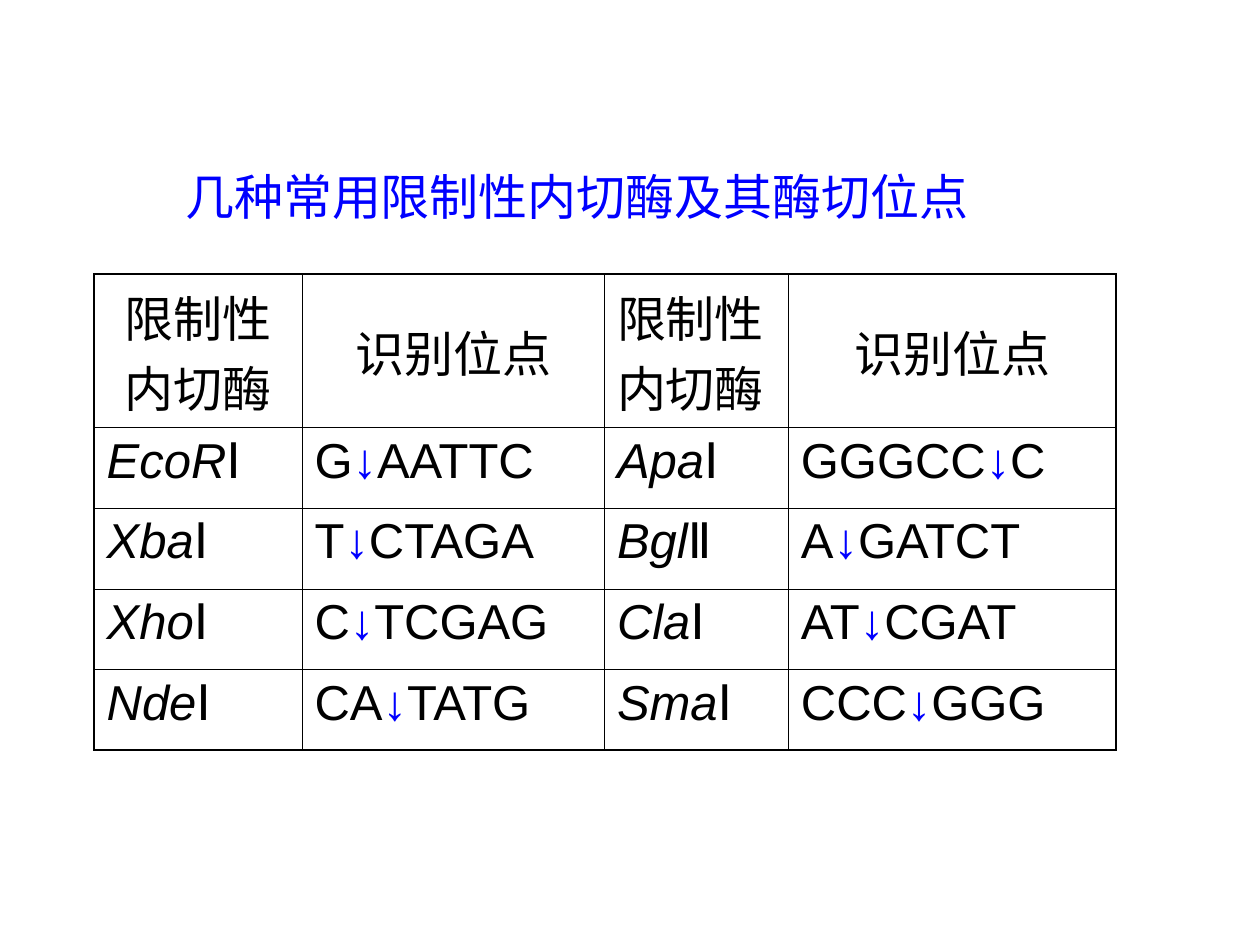
from dataclasses import dataclass

import pptx
import pptx.dml.color
import pptx.enum.text
import pptx.oxml.ns
import pptx.util
from lxml import etree

ALIGN = pptx.enum.text.PP_ALIGN
ANCHOR = pptx.enum.text.MSO_ANCHOR


@dataclass(frozen=True)
class Theme:
    font: str = "Arial"
    size: int = 28
    ink: str = "000000"
    accent: str = "0000FF"
    outer_line: float = 1.08
    inner_line: float = 0.45


THEME = Theme()
SLIDE_W, SLIDE_H = pptx.util.Inches(10), pptx.util.Inches(7.5)
CUT = "↓"

# Column widths, header height and body row height, in inches
COLUMNS = (1.65, 2.4, 1.46, 2.6)
HEADER_ROW, BODY_ROW = 1.22, 0.64

HEADERS = ("限制性内切酶", "识别位点") * 2
# Each enzyme: species part, numeral, recognition site
ENZYMES = [
    [("EcoR", "Ⅰ", "G↓AATTC"), ("Apa", "Ⅰ", "GGGCC↓C")],
    [("Xba", "Ⅰ", "T↓CTAGA"), ("Bgl", "Ⅱ", "A↓GATCT")],
    [("Xho", "Ⅰ", "C↓TCGAG"), ("Cla", "Ⅰ", "AT↓CGAT")],
    [("Nde", "Ⅰ", "CA↓TATG"), ("Sma", "Ⅰ", "CCC↓GGG")],
]


def share_box(left, top, width, height):
    """Turn percentages of the slide into lengths."""
    return (int(SLIDE_W * left / 100), int(SLIDE_H * top / 100),
            int(SLIDE_W * width / 100), int(SLIDE_H * height / 100))


def add_run(p, text, color=THEME.ink, italic=False):
    r = p.add_run()
    r.text = text
    r.font.name = THEME.font
    r.font.size = pptx.util.Pt(THEME.size)
    r.font.bold = False
    r.font.italic = italic
    r.font.color.rgb = pptx.dml.color.RGBColor.from_string(color)


def add_border(cell, side, width):
    qn = pptx.oxml.ns.qn
    ln = etree.SubElement(cell._tc.get_or_add_tcPr(), qn(f"a:ln{side}"),
                          w=str(int(pptx.util.Pt(width))))
    fill = etree.SubElement(ln, qn("a:solidFill"))
    etree.SubElement(fill, qn("a:srgbClr"), val=THEME.ink)


def add_title(s, box):
    title = s.shapes.title
    title.left, title.top, title.width, title.height = box
    tf = title.text_frame
    tf.word_wrap = False
    tf.auto_size = pptx.enum.text.MSO_AUTO_SIZE.SHAPE_TO_FIT_TEXT
    tf.vertical_anchor = ANCHOR.TOP
    p = tf.paragraphs[0]
    p.alignment = ALIGN.LEFT
    add_run(p, "几种常用限制性内切酶及其酶切位点", THEME.accent)


def fill_header(cell, col):
    p = cell.text_frame.paragraphs[0]
    add_run(p, HEADERS[col])
    p.alignment = ALIGN.LEFT if col == 2 else ALIGN.CENTER
    cell.vertical_anchor = ANCHOR.MIDDLE if col % 2 else ANCHOR.TOP


def fill_enzyme(name_cell, site_cell, enzyme):
    species, numeral, site = enzyme
    p = name_cell.text_frame.paragraphs[0]
    add_run(p, species, italic=True)
    add_run(p, numeral)

    p = site_cell.text_frame.paragraphs[0]
    before, after = site.split(CUT)
    add_run(p, before)
    add_run(p, CUT, THEME.accent)
    add_run(p, after)


def add_enzyme_table(s, box):
    n_rows, n_cols = len(ENZYMES) + 1, len(COLUMNS)
    table = s.shapes.add_table(n_rows, n_cols, *box).table
    table.first_row = table.horz_banding = False

    # Grid, scaled to the box
    _, _, width, height = box
    for column, share in zip(table.columns, COLUMNS):
        column.width = int(width * share / sum(COLUMNS))
    heights = [HEADER_ROW] + [BODY_ROW] * len(ENZYMES)
    for row, share in zip(table.rows, heights):
        row.height = int(height * share / sum(heights))

    # Heavy outline, thin inner lines
    for r in range(n_rows):
        for c in range(n_cols):
            cell = table.cell(r, c)
            edges = {"L": c == 0, "R": c == n_cols - 1,
                     "T": r == 0, "B": r == n_rows - 1}
            for side, outer in edges.items():
                add_border(cell, side, THEME.outer_line if outer else THEME.inner_line)
            cell.fill.background()

    # Text
    for c in range(n_cols):
        fill_header(table.cell(0, c), c)
    for r, pair in enumerate(ENZYMES, start=1):
        for i, enzyme in enumerate(pair):
            fill_enzyme(table.cell(r, 2 * i), table.cell(r, 2 * i + 1), enzyme)


def main():
    prs = pptx.Presentation()
    prs.slide_width, prs.slide_height = SLIDE_W, SLIDE_H
    s = prs.slides.add_slide(prs.slide_layouts[5])
    add_title(s, share_box(13.7, 17, 65, 7.6))
    add_enzyme_table(s, share_box(7.47, 29, 81.1, 50.4))
    prs.save("out.pptx")


if __name__ == "__main__":
    main()
